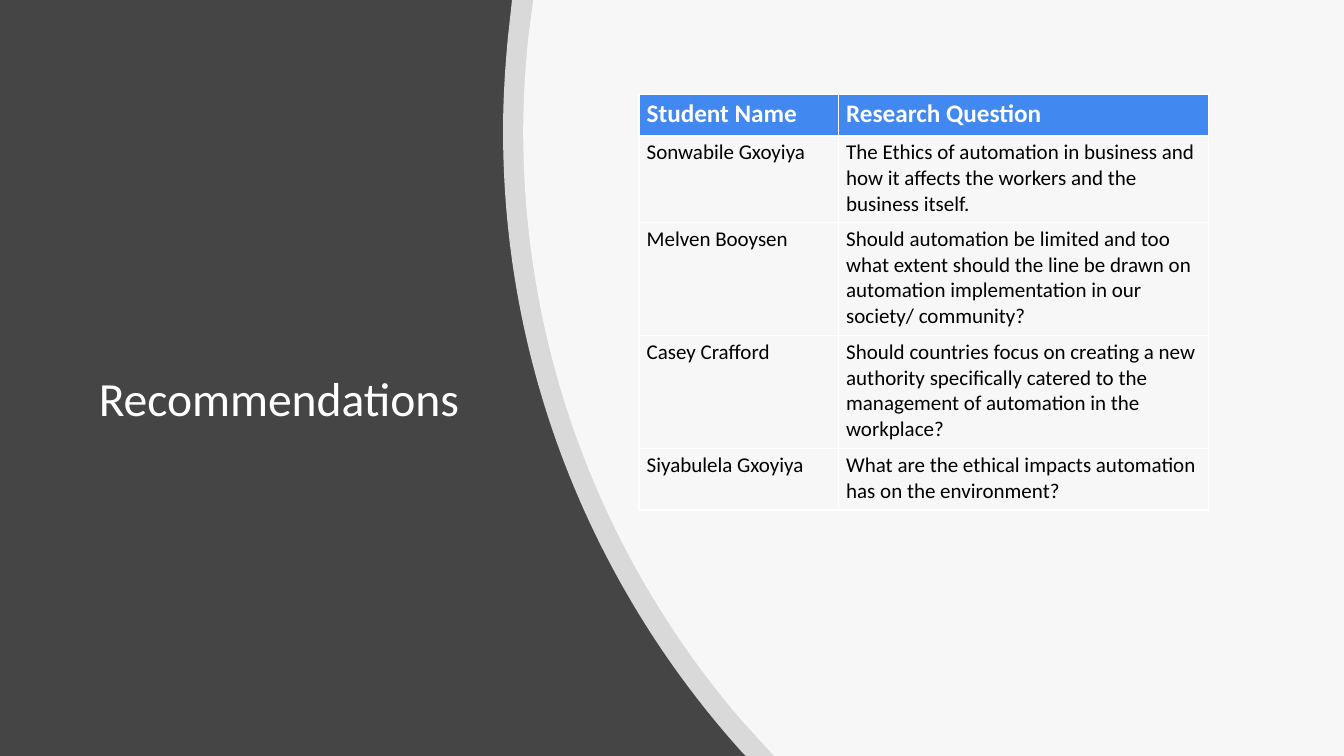
from lxml import etree
from pptx import Presentation
from pptx import util as u
from pptx.dml.color import RGBColor
from pptx.enum import text
from pptx.oxml.ns import qn

W, H = u.Inches(13.33), u.Inches(7.5)
FONT = "Calibri"
COLORS = {"dark": "454545", "white": "FFFFFF", "blue": "4188F1", "black": "000000"}

COLUMNS = (14.85, 27.5)
ROWS = (5.47, 11.47, 14.93, 14.93, 8.13)
QUESTIONS = [
    ("Student Name", "Research Question"),
    ("Sonwabile Gxoyiya",
     "The Ethics of automation in business and how it affects the workers and the business itself."),
    ("Melven Booysen",
     "Should automation be limited and too what extent should the line be drawn on "
     "automation implementation in our society/ community?"),
    ("Casey Crafford",
     "Should countries focus on creating a new authority specifically catered to the "
     "management of automation in the workplace?"),
    ("Siyabulela Gxoyiya",
     "What are the ethical impacts automation has on the environment?"),
]

OUTER_EDGE = [(55.2, 99.47), (44.18, 77.73), (37.43, 48.93), (37.43, 17.33),
              (37.43, 13.07), (37.58, 8.93), (37.8, 4.8)]
INNER_EDGE = [(55.2, 95.33), (45.08, 74.4), (38.93, 47.2), (38.93, 17.33),
              (38.93, 13.2), (39.08, 9.2), (39.3, 5.07)]


def col(n):
    return round(W * n / 100)


def row(n):
    return round(H * n / 100)


def rgb(name):
    return RGBColor.from_string(COLORS[name])


def style(p, size, color, align, bold=False):
    p.alignment = align
    p.font.name, p.font.size, p.font.bold = FONT, u.Pt(size), bold
    p.font.color.rgb = rgb(color)


def bend_lines(sp, edge):
    lines = sp._element.findall(".//" + qn("a:lnTo"))[-2:]
    for line, points in zip(lines, (edge[1:4], edge[4:7])):
        curve = etree.Element(qn("a:cubicBezTo"))
        for x, y in points:
            etree.SubElement(curve, qn("a:pt"), x=str(col(x) - sp.left), y=str(row(y) - sp.top))
        line.getparent().replace(line, curve)


def add_curved_panel(s, top, bottom, edge):
    corners = [(100, 0), (100, 100), (bottom, 100), *edge[::3]]
    builder = s.shapes.build_freeform(col(top), 0)
    builder.add_line_segments([(col(x), row(y)) for x, y in corners], close=True)
    sp = builder.convert_to_shape()
    bend_lines(sp, edge)
    sp.shadow.inherit = False
    sp.line.fill.background()
    sp.fill.solid()
    sp.fill.fore_color.rgb = rgb("white")
    color = sp.fill._xPr.find(qn("a:solidFill"))[0]
    etree.SubElement(color, qn("a:alpha"), val="80000")


def add_title(s, words):
    sp = s.shapes.title
    sp.left, sp.top, sp.width, sp.height = col(6.6), row(20.4), col(29.4), row(65.33)
    tf = sp.text_frame
    tf.text = words
    tf.word_wrap = True
    tf.auto_size = text.MSO_AUTO_SIZE.NONE
    tf.vertical_anchor = text.MSO_ANCHOR.MIDDLE
    p = tf.paragraphs[0]
    p.line_spacing = 0.9
    style(p, 34, "white", text.PP_ALIGN.LEFT)


def add_borders(cell):
    props = cell._tc.get_or_add_tcPr()
    for i, side in enumerate(("lnL", "lnR", "lnT", "lnB")):
        line = etree.Element(qn(f"a:{side}"), w=str(u.Pt(1)))
        fill = etree.SubElement(line, qn("a:solidFill"))
        etree.SubElement(fill, qn("a:srgbClr"), val=COLORS["white"])
        props.insert(i, line)


def fill_cell(cell, words, header, justified):
    cell.text = words
    cell.margin_left = cell.margin_right = u.Pt(5.4)
    cell.margin_top = cell.margin_bottom = u.Pt(2.7)
    align = text.PP_ALIGN.JUSTIFY if justified else text.PP_ALIGN.LEFT
    p = cell.text_frame.paragraphs[0]
    if header:
        cell.fill.solid()
        cell.fill.fore_color.rgb = rgb("blue")
        style(p, 18, "white", align, bold=True)
    else:
        cell.fill.background()
        style(p, 15, "black", align)
    add_borders(cell)


def add_question_table(s):
    table = s.shapes.add_table(len(ROWS), len(COLUMNS), col(47.55), row(12.53),
                               col(sum(COLUMNS)), row(sum(ROWS))).table
    table.horz_banding = False
    for column, width in zip(table.columns, COLUMNS):
        column.width = col(width)
    for r, (height, entries) in enumerate(zip(ROWS, QUESTIONS)):
        table.rows[r].height = row(height)
        for c, words in enumerate(entries):
            fill_cell(table.cell(r, c), words, header=r == 0, justified=r == 0 or c == 0)


def main():
    prs = Presentation()
    prs.slide_width, prs.slide_height = W, H
    s = prs.slides.add_slide(prs.slide_layouts[5])
    s.background.fill.solid()
    s.background.fill.fore_color.rgb = rgb("dark")
    add_title(s, "Recommendations")
    add_curved_panel(s, 38.1, 55.5, OUTER_EDGE)
    add_curved_panel(s, 39.68, 57.6, INNER_EDGE)
    add_question_table(s)
    prs.save("out.pptx")


if __name__ == "__main__":
    main()
